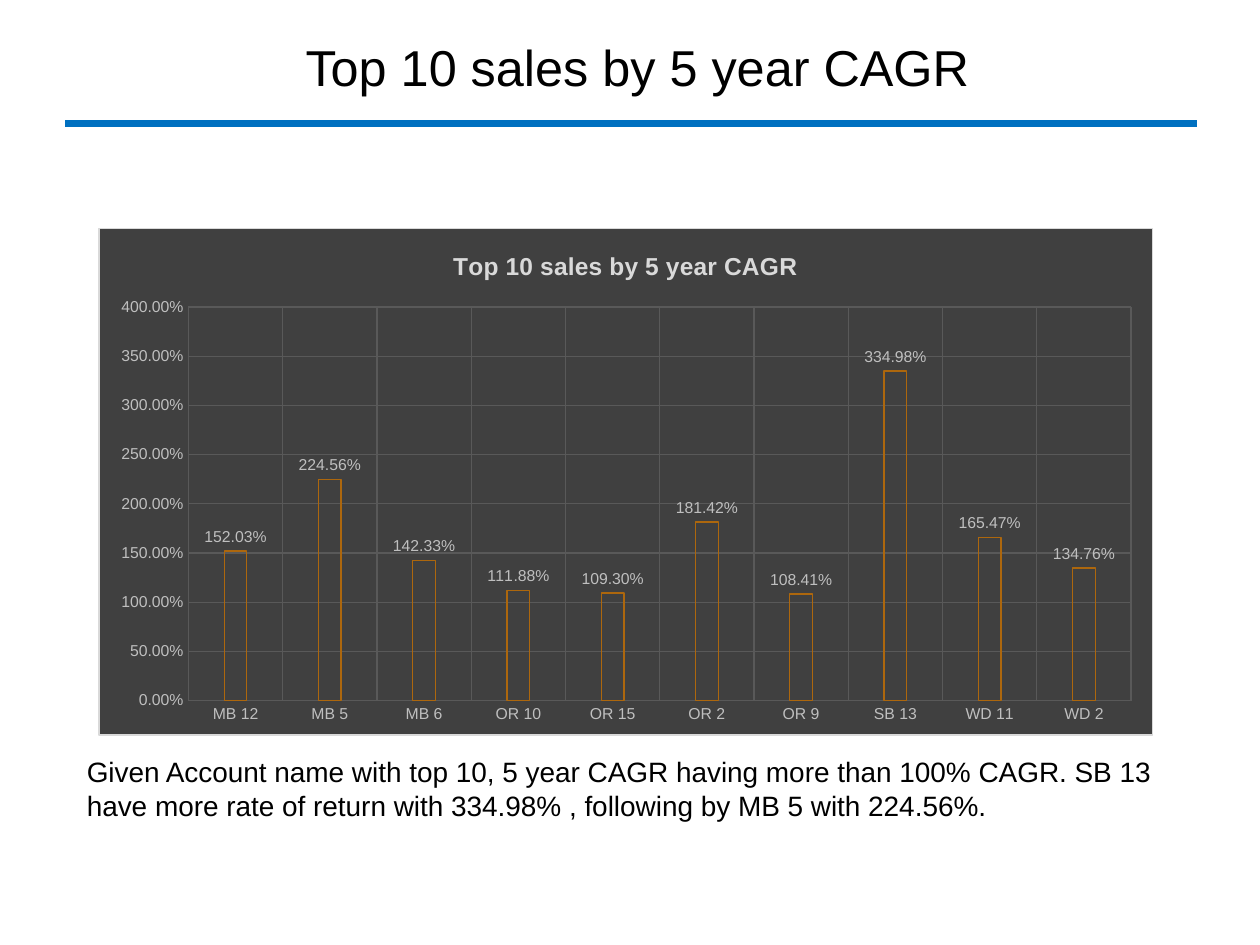
from lxml import etree
from pptx import Presentation
from pptx.chart.data import CategoryChartData
from pptx.dml.color import RGBColor
from pptx.enum.chart import XL_CHART_TYPE, XL_LABEL_POSITION, XL_TICK_MARK
from pptx.enum.shapes import MSO_CONNECTOR
from pptx.enum.text import MSO_ANCHOR, PP_ALIGN
from pptx.oxml import parse_xml
from pptx.oxml.ns import nsdecls, qn
from pptx.util import Inches, Pt

COLUMNS = XL_CHART_TYPE.COLUMN_CLUSTERED
OUTSIDE_END = XL_LABEL_POSITION.OUTSIDE_END
NO_TICK = XL_TICK_MARK.NONE
STRAIGHT = MSO_CONNECTOR.STRAIGHT
BOTTOM = MSO_ANCHOR.BOTTOM
CENTER = PP_ALIGN.CENTER

COLORS = {
    "text": "000000", "rule": "0070C0", "panel": "404040", "border": "D9D9D9",
    "heading": "D9D9D9", "label": "BFBFBF", "grid": "595959", "bar": "AD670D",
}
HEADING = "Top 10 sales by 5 year CAGR"
GROWTH = {
    "MB 12": 1.5203, "MB 5": 2.2456, "MB 6": 1.4233, "OR 10": 1.1188,
    "OR 15": 1.093, "OR 2": 1.8142, "OR 9": 1.0841, "SB 13": 3.3498,
    "WD 11": 1.6547, "WD 2": 1.3476,
}


def style_font(font, size, color, bold=False):
    font.name = "Arial"
    font.size = Pt(size)
    font.bold = bold
    font.color.rgb = RGBColor.from_string(COLORS[color])


def style_line(line, width, color):
    line.width = Pt(width)
    line.color.rgb = RGBColor.from_string(COLORS[color])


prs = Presentation()
prs.slide_width = Inches(10)
prs.slide_height = Inches(7.5)
slide = prs.slides.add_slide(prs.slide_layouts[6])

rule = slide.shapes.add_connector(
    STRAIGHT, Inches(0.52), Inches(0.98), Inches(9.5), Inches(0.98))
style_line(rule.line, 4.5, "rule")
etree.SubElement(rule._element.spPr, qn("a:effectLst"))

summary = slide.shapes.add_textbox(
    Inches(0.59), Inches(5.94), Inches(8.91), Inches(0.64)).text_frame
summary.word_wrap = True
summary.text = (
    "Given Account name with top 10, 5 year CAGR having more than 100% CAGR. "
    "SB 13 have more rate of return with 334.98% , following by MB 5 with 224.56%.")
style_font(summary.paragraphs[0].font, 16, "text")

heading = slide.shapes.add_textbox(
    Inches(0.81), Inches(0.52), Inches(8.5), Inches(0.76)).text_frame
heading.word_wrap = True
heading.vertical_anchor = BOTTOM
heading.margin_left = heading.margin_right = 0
heading.margin_bottom = Inches(0.51)
heading.text = HEADING
heading.paragraphs[0].alignment = CENTER
heading.paragraphs[0].line_spacing = 0.9
style_font(heading.paragraphs[0].font, 28.8, "text")

growth_data = CategoryChartData(number_format="0.00%")
growth_data.categories = list(GROWTH)
growth_data.add_series("Series 1", list(GROWTH.values()))
chart = slide.shapes.add_chart(
    COLUMNS, Inches(0.78), Inches(1.81), Inches(8.37), Inches(4.03),
    growth_data).chart
style_font(chart.font, 10, "text")
chart.has_legend = False
chart.has_title = True
chart.chart_title.include_in_layout = False
chart_heading = chart.chart_title.text_frame
chart_heading.text = HEADING
style_font(chart_heading.paragraphs[0].font, 14, "heading", bold=True)

for axis in (chart.category_axis, chart.value_axis):
    axis.major_tick_mark = axis.minor_tick_mark = NO_TICK
    axis.format.line.fill.background()
    axis.has_major_gridlines = True
    style_line(axis.major_gridlines.format.line, 0.75, "grid")
    style_font(axis.tick_labels.font, 9, "label")
chart.value_axis.minimum_scale = 0
chart.value_axis.maximum_scale = 4
chart.value_axis.major_unit = 0.5
chart.value_axis.tick_labels.number_format = "0.00%"
chart.value_axis.tick_labels.number_format_is_linked = False

plot = chart.plots[0]
plot.gap_width = 315
plot.overlap = -40
plot.vary_by_categories = False
bars = plot.series[0]
bars.format.fill.background()
style_line(bars.format.line, 0.75, "bar")
labels = bars.data_labels
labels.show_value = True
labels.position = OUTSIDE_END
labels.number_format = "0.00%"
labels.number_format_is_linked = False
style_font(labels.font, 9, "label")

plot_area = chart._chartSpace.chart.plotArea
for old_layout in plot_area.findall(qn("c:layout")):
    plot_area.remove(old_layout)
plot_area.insert(0, parse_xml(
    f'<c:layout {nsdecls("c")}><c:manualLayout><c:layoutTarget val="inner"/>'
    '<c:xMode val="edge"/><c:yMode val="edge"/><c:x val="0.085"/><c:y val="0.155"/>'
    '<c:w val="0.895"/><c:h val="0.777"/></c:manualLayout></c:layout>'))
chart._chartSpace.chart.addnext(parse_xml(
    f'<c:spPr {nsdecls("c", "a")}>'
    f'<a:solidFill><a:srgbClr val="{COLORS["panel"]}"/></a:solidFill>'
    f'<a:ln w="{Pt(0.75)}"><a:solidFill><a:srgbClr val="{COLORS["border"]}"/>'
    '</a:solidFill></a:ln></c:spPr>'))

prs.save("out.pptx")
